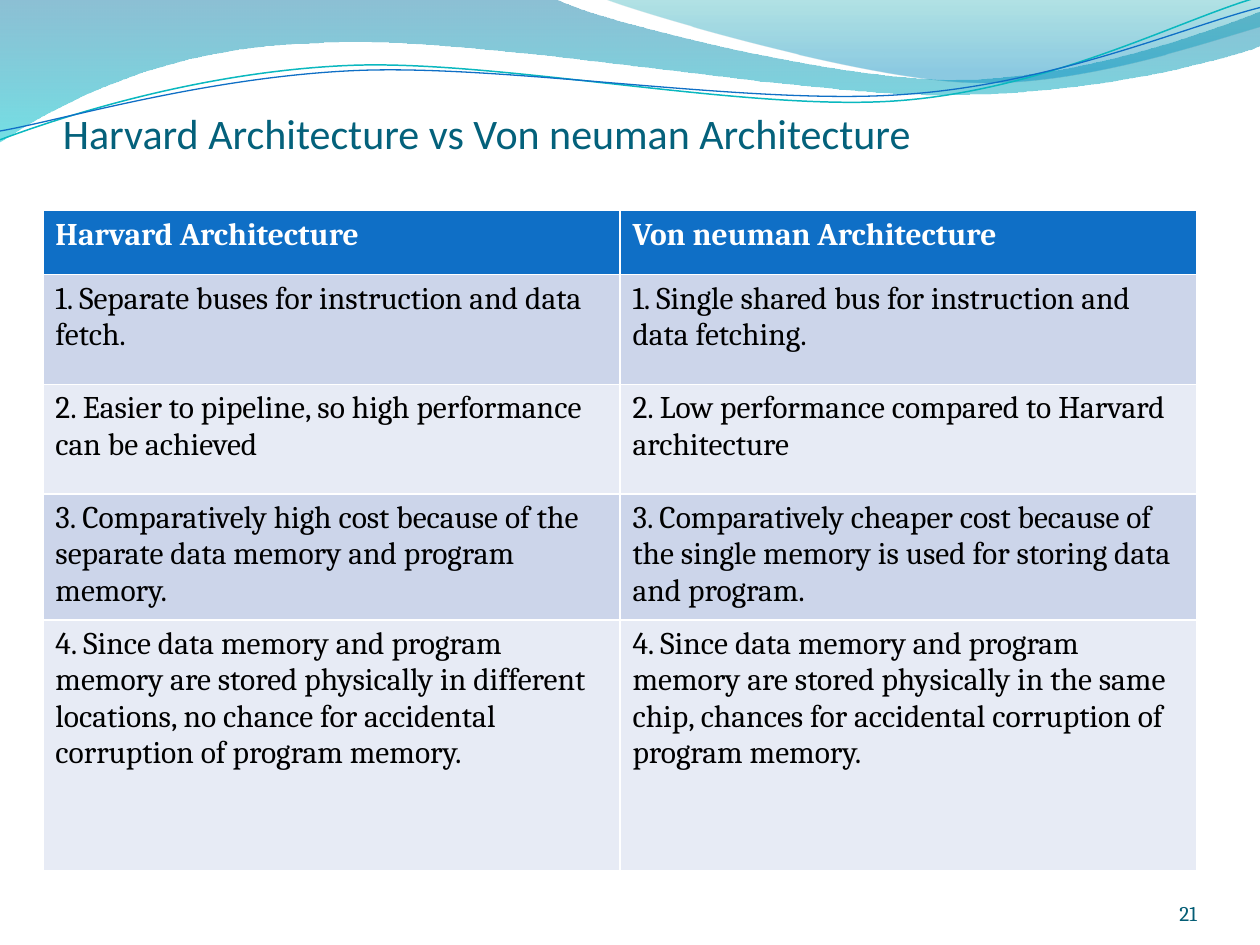
from dataclasses import dataclass

import lxml.etree
import pptx
import pptx.dml.color
import pptx.enum.text
import pptx.oxml
import pptx.oxml.ns
import pptx.util
from pptx.util import Inches

Point = tuple[float, float]
Segment = tuple[Point, ...]  # one point for a straight line, three for a cubic curve
Stop = tuple[float, str, int]  # position, colour, opacity in percent
qn = pptx.oxml.ns.qn


@dataclass(frozen=True)
class Theme:
    title: str = "04617B"
    number: str = "045D75"
    header: str = "0F6FC6"
    bands: tuple[str, str] = ("CCD5EA", "E7EBF5")
    white: str = "FFFFFF"
    black: str = "000000"
    heading_font: str = "Calibri"
    body_font: str = "Cambria"
    title_size: int = 24
    body_size: int = 18
    number_size: int = 12


@dataclass(frozen=True)
class Wave:
    """A filled wave has gradient stops, an open one has a line."""
    start: Point
    segments: tuple[Segment, ...]
    stops: tuple[Stop, ...] = ()
    line: str = ""
    width: float = 0


THEME = Theme()

WAVES = [
    Wave((0, 0),
         (((4.4, -0.01),),
          ((4.76, 0.17), (6.64, 0.63), (7.58, 0.63)),
          ((8.53, 0.63), (9.58, 0.26), (10, 0.09)),
          ((10.01, 0.36),),
          ((9.83, 0.44), (8.7, 0.76), (7.46, 0.75)),
          ((6.22, 0.75), (3.82, 0.28), (2.57, 0.34)),
          ((1.29, 0.36), (0.46, 0.83), (-0.01, 1.13)),
          ((0, 0),)),
         stops=((0, "0074A1", 45), (1, "00C6CF", 55))),
    Wave((4.79, -0.01),
         (((5.09, 0.11), (6.82, 0.62), (7.69, 0.65)),
          ((8.56, 0.69), (9.61, 0.32), (10, 0.21)),
          ((10, 0),),
          ((4.79, -0.01),)),
         stops=((0, "00A1A9", 30), (0.8, "008BBF", 45))),
    Wave((0, 1.11),
         (((0.48, 0.93), (1.58, 0.57), (2.77, 0.52)),
          ((3.95, 0.47), (5.93, 0.89), (7.13, 0.8)),
          ((8.33, 0.71), (9.38, 0.15), (9.98, -0.02))),
         line="0AB8BF", width=0.85),
    Wave((0, 1.04),
         (((0.47, 0.96), (1.64, 0.61), (2.83, 0.56)),
          ((4.03, 0.51), (5.97, 0.84), (7.17, 0.75)),
          ((8.36, 0.67), (9.41, 0.21), (10, 0.06))),
         line="0F6FC6", width=0.75),
]

ROW_HEIGHTS = (0.51, 0.87, 0.87, 0.51, 1.99)
ROWS = [
    ("Harvard Architecture", "Von neuman Architecture"),
    ("1. Separate buses for instruction and data fetch.",
     "1. Single shared bus for instruction and data fetching."),
    ("2. Easier to pipeline, so high performance can be achieved",
     "2. Low performance compared to Harvard architecture"),
    ("3. Comparatively high cost because of the separate data memory and program memory.",
     "3. Comparatively cheaper cost because of the single memory is used for storing data "
     "and program."),
    ("4. Since data memory and program memory are stored physically in different locations, "
     "no chance for accidental corruption of program memory.",
     "4. Since data memory and program memory are stored physically in the same chip, "
     "chances for accidental corruption of program memory."),
]


def rgb(color: str) -> pptx.dml.color.RGBColor:
    return pptx.dml.color.RGBColor.from_string(color)


def bend_curves(sp, segments: tuple[Segment, ...]) -> None:
    """Merge the three straight steps of each curved segment into one cubic curve."""
    steps = iter(list(sp._element.iter(qn("a:lnTo"))))
    for segment in segments:
        lines = [next(steps) for _ in segment]
        if len(lines) == 1:
            continue
        curve = lxml.etree.Element(qn("a:cubicBezTo"))
        lines[0].addprevious(curve)
        for line in lines:
            curve.append(line[0])
            line.getparent().remove(line)


def draw_wave(s, wave: Wave) -> None:
    def emu(point: Point) -> tuple[int, int]:
        return Inches(point[0]), Inches(point[1])

    builder = s.shapes.build_freeform(*emu(wave.start))
    points = [emu(point) for segment in wave.segments for point in segment]
    builder.add_line_segments(points, close=bool(wave.stops))
    sp = builder.convert_to_shape()
    bend_curves(sp, wave.segments)
    sp.shadow.inherit = False
    if not wave.stops:
        sp.fill.background()
        sp.line.color.rgb = rgb(wave.line)
        sp.line.width = pptx.util.Pt(wave.width)
        return
    sp.line.fill.background()
    sp.fill.gradient()
    sp.fill.gradient_angle = 270
    for stop, (position, color, _) in zip(sp.fill.gradient_stops, wave.stops):
        stop.position = position
        stop.color.rgb = rgb(color)
    colors = sp._element.spPr.iter(qn("a:srgbClr"))
    for el, (_, _, opacity) in zip(colors, wave.stops):
        lxml.etree.SubElement(el, qn("a:alpha")).set("val", str(opacity * 1000))


def style_text(tf, font: str, size: int, color: str, bold: bool = False) -> None:
    for p in tf.paragraphs:
        for r in p.runs:
            r.font.name = font
            r.font.size = pptx.util.Pt(size)
            r.font.bold = bold
            r.font.color.rgb = rgb(color)


def add_text(s, text: str, box: tuple[float, float, float, float], font: str, size: int,
             color: str, align: pptx.enum.text.PP_ALIGN, top_inset: float = 0) -> None:
    tf = s.shapes.add_textbox(*map(Inches, box)).text_frame
    tf.word_wrap = True
    tf.margin_left = tf.margin_right = tf.margin_bottom = 0
    tf.margin_top = Inches(top_inset)
    tf.vertical_anchor = pptx.enum.text.MSO_ANCHOR.BOTTOM
    tf.text = text
    tf.paragraphs[0].alignment = align
    style_text(tf, font, size, color)


def add_comparison(s) -> None:
    """The default table style supplies the white rules between cells."""
    table = s.shapes.add_table(len(ROWS), 2, Inches(0.34), Inches(1.67), Inches(9.16),
                               Inches(sum(ROW_HEIGHTS))).table
    for i, (texts, height) in enumerate(zip(ROWS, ROW_HEIGHTS)):
        table.rows[i].height = Inches(height)
        header = i == 0
        for j, text in enumerate(texts):
            cell = table.cell(i, j)
            cell.text_frame.text = text
            style_text(cell.text_frame, THEME.body_font, THEME.body_size,
                       THEME.white if header else THEME.black, header)
            cell.fill.solid()
            cell.fill.fore_color.rgb = rgb(THEME.header if header else THEME.bands[(i - 1) % 2])


def main() -> None:
    prs = pptx.Presentation()
    prs.slide_width, prs.slide_height = Inches(10), Inches(7.5)
    s = prs.slides.add_slide(prs.slide_layouts[6])
    for wave in WAVES:
        draw_wave(s, wave)
    align = pptx.enum.text.PP_ALIGN
    add_text(s, "Harvard Architecture vs Von neuman Architecture", (0.5, 0.77, 9, 0.48),
             THEME.heading_font, THEME.title_size, THEME.title, align.LEFT, 0.05)
    add_comparison(s)
    add_text(s, "21", (8.67, 6.95, 0.83, 0.4), THEME.body_font, THEME.number_size,
             THEME.number, align.RIGHT)
    prs.save("out.pptx")


if __name__ == "__main__":
    main()
